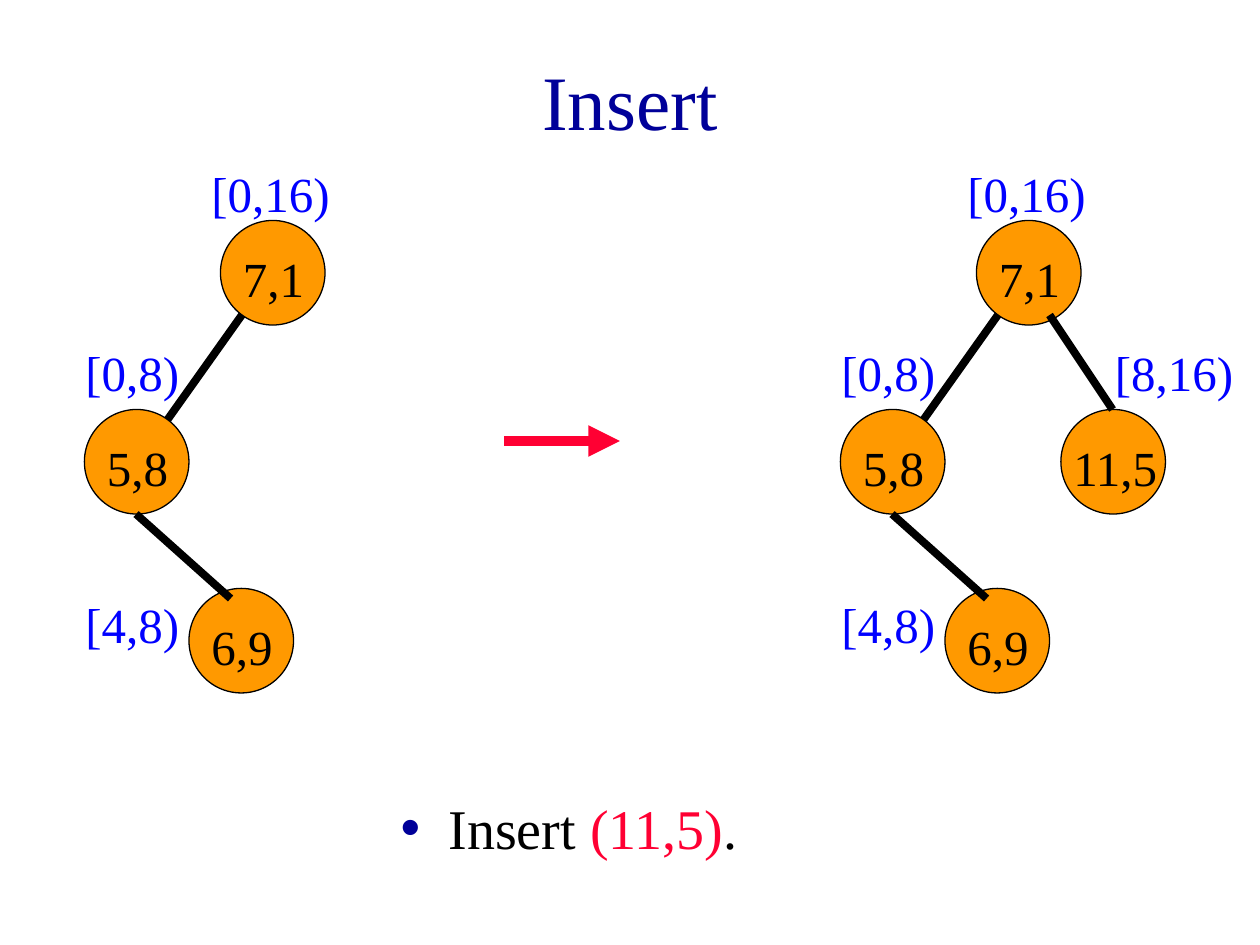
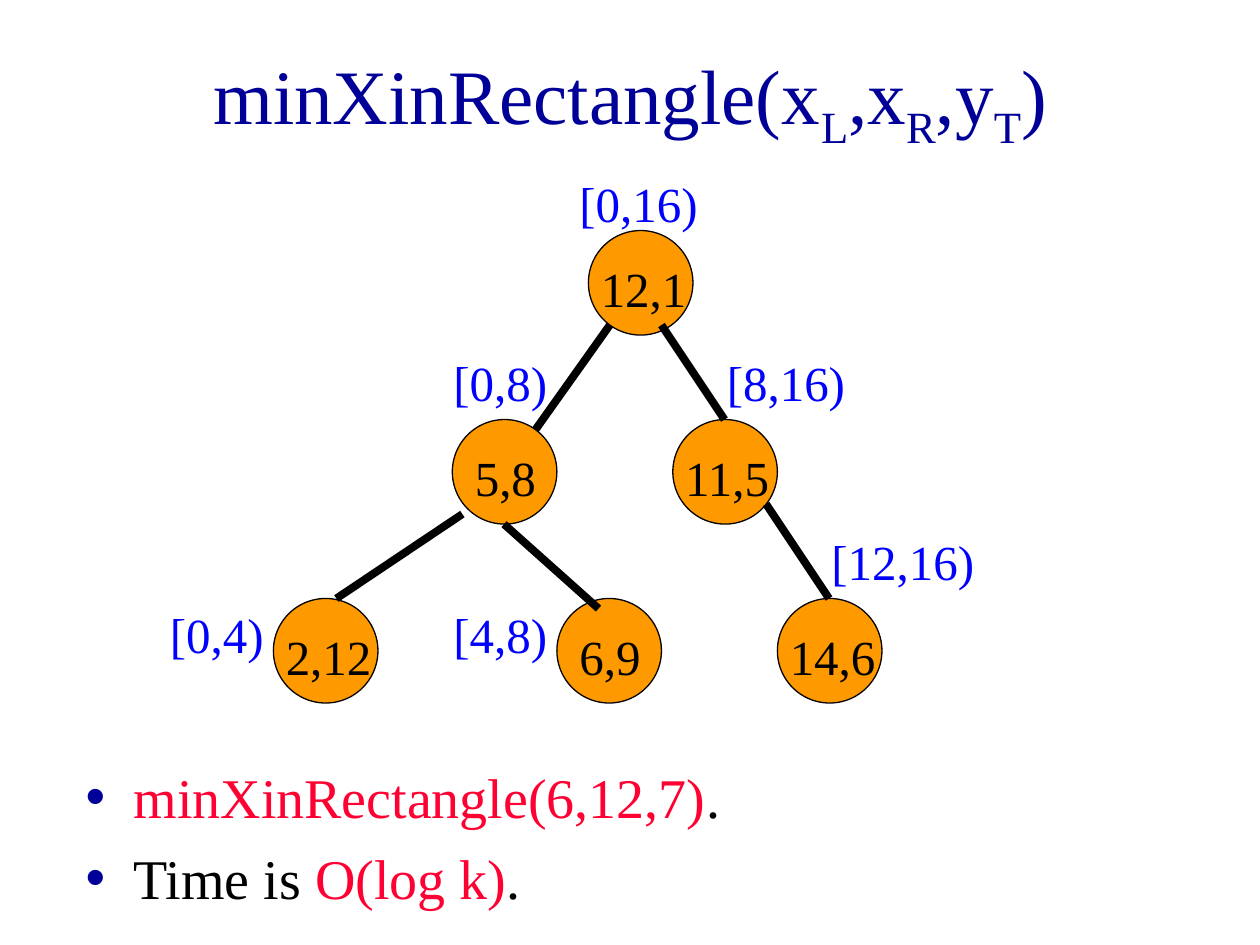
from dataclasses import dataclass
from typing import NamedTuple

from lxml.etree import SubElement
from pptx import Presentation
from pptx.dml.color import RGBColor
from pptx.enum.shapes import MSO_CONNECTOR, MSO_SHAPE
from pptx.enum.text import MSO_ANCHOR, MSO_AUTO_SIZE, PP_ALIGN
from pptx.oxml.ns import qn
from pptx.shapes.connector import Connector
from pptx.shapes.group import GroupShape
from pptx.slide import Slide
from pptx.text.text import TextFrame, _Paragraph
from pptx.util import Inches, Pt


@dataclass(frozen=True)
class Theme:
    font: str = "Times New Roman"
    navy: str = "000099"
    black: str = "000000"
    red: str = "FF0033"
    blue: str = "0000FF"
    orange: str = "FF9900"
    white: str = "FFFFFF"
    title_size: float = 44
    body_size: float = 32
    tree_size: float = 28
    outline: float = 0.75
    edge: float = 4.5
    arrow: float = 6


THEME = Theme()


class Point(NamedTuple):
    x: float
    y: float


class Box(NamedTuple):
    left: float
    top: float
    width: float
    height: float


class Span(NamedTuple):
    text: str
    color: str = THEME.black
    subscript: bool = False


class Edge(NamedTuple):
    start: Point
    end: Point


@dataclass(frozen=True)
class Node:
    """A tree node; every place is measured from the root circle's corner."""
    key: str
    corner: Point
    interval: str
    interval_corner: Point
    edge: Edge | None = None


# Shared places
TITLE_BOX = Box(0.75, 0.17, 8.5, 1.25)
CIRCLE = 0.83
TEXT_HEIGHT = 0.57

# Tree nodes
ROOT_CORNER, ROOT_INTERVAL = Point(0, 0), Point(-0.17, -0.5)
LEFT = Node("5,8", Point(-1.08, 1.5), "[0,8)", Point(-1.17, 0.92),
            Edge(Point(0.17, 0.75), Point(-0.42, 1.58)))
LEFT_RIGHT = Node("6,9", Point(-0.25, 2.92), "[4,8)", Point(-1.17, 2.92),
                  Edge(Point(-0.67, 2.33), Point(0.08, 3)))
RIGHT = Node("11,5", Point(0.67, 1.5), "[8,16)", Point(1, 0.92),
             Edge(Point(0.58, 0.75), Point(1.08, 1.5)))
LEFT_LEFT = Node("2,12", Point(-2.5, 2.92), "[0,4)", Point(-3.42, 2.92),
                 Edge(Point(-1, 2.25), Point(-2, 2.92)))
RIGHT_RIGHT = Node("14,6", Point(1.5, 2.92), "[12,16)", Point(1.83, 2.34),
                   Edge(Point(1.41, 2.17), Point(1.91, 2.92)))


def root(key: str) -> Node:
    return Node(key, ROOT_CORNER, "[0,16)", ROOT_INTERVAL)


def color(value: str) -> RGBColor:
    return RGBColor.from_string(value)


def inches(box: Box) -> list[int]:
    return [Inches(length) for length in box]


def add_spans(paragraph: _Paragraph, spans: list[Span], size: float) -> None:
    for span in spans:
        run = paragraph.add_run()
        run.text = span.text
        run.font.name = THEME.font
        run.font.size = Pt(size)
        run.font.color.rgb = color(span.color)
        if span.subscript:
            run._r.get_or_add_rPr().set("baseline", "-25000")


def place(holder, box: Box) -> TextFrame:
    holder.left, holder.top, holder.width, holder.height = inches(box)
    frame = holder.text_frame
    frame.word_wrap = True
    frame.auto_size = MSO_AUTO_SIZE.NONE
    return frame


def fill_title(slide: Slide, spans: list[Span]) -> None:
    frame = place(slide.shapes.title, TITLE_BOX)
    frame.vertical_anchor = MSO_ANCHOR.MIDDLE
    heading = frame.paragraphs[0]
    heading.alignment = PP_ALIGN.CENTER
    add_spans(heading, spans, THEME.title_size)


def fill_bullets(slide: Slide, box: Box, items: list[list[Span]]) -> None:
    frame = place(slide.placeholders[1], box)
    for number, spans in enumerate(items):
        item = frame.add_paragraph() if number else frame.paragraphs[0]
        item.space_before = Pt(8)
        properties = item._p.get_or_add_pPr()
        properties.set("marL", str(Inches(0.38)))
        properties.set("indent", str(Inches(-0.38)))
        bullet_color = SubElement(properties, qn("a:buClr"))
        SubElement(bullet_color, qn("a:srgbClr"), val=THEME.navy)
        SubElement(properties, qn("a:buChar"), char="•")
        add_spans(item, spans, THEME.body_size)


def add_line(parent, edge: Edge, line_color: str, width: float) -> Connector:
    start, end = edge
    line = parent.add_connector(MSO_CONNECTOR.STRAIGHT, Inches(start.x), Inches(start.y),
                                Inches(end.x), Inches(end.y))
    line.line.color.rgb = color(line_color)
    line.line.width = Pt(width)
    SubElement(line._element.spPr, qn("a:effectLst"))
    return line


def add_caption(tree: GroupShape, corner: Point, width: float, span: Span) -> None:
    caption = tree.shapes.add_textbox(*inches(Box(*corner, width, TEXT_HEIGHT)))
    frame = caption.text_frame
    frame.word_wrap = True
    paragraph = frame.paragraphs[0]
    paragraph.space_before = Pt(17.5)
    add_spans(paragraph, [span], THEME.tree_size)


def add_node(tree: GroupShape, origin: Point, node: Node) -> None:
    def shifted(point: Point) -> Point:
        return Point(origin.x + point.x, origin.y + point.y)

    corner = shifted(node.corner)
    circle = tree.shapes.add_shape(MSO_SHAPE.OVAL, *inches(Box(*corner, CIRCLE, CIRCLE)))
    circle.shadow.inherit = False
    circle.fill.solid()
    circle.fill.fore_color.rgb = color(THEME.orange)
    circle.line.color.rgb = color(THEME.black)
    circle.line.width = Pt(THEME.outline)

    # Three-character keys start a little further in
    indent, width = (0.08, 0.75) if len(node.key) == 3 else (0, 1)
    add_caption(tree, Point(corner.x + indent, corner.y + 0.17), width, Span(node.key))
    if node.edge:
        add_line(tree.shapes, Edge(*map(shifted, node.edge)), THEME.black, THEME.edge)
    interval_width = 1.58 if len(node.interval) > 6 else 1.25
    add_caption(tree, shifted(node.interval_corner), interval_width,
                Span(node.interval, THEME.blue))


def add_tree(slide: Slide, origin: Point, nodes: list[Node]) -> None:
    tree = slide.shapes.add_group_shape()
    for node in nodes:
        add_node(tree, origin, node)


def build_insert(slide: Slide) -> None:
    fill_title(slide, [Span("Insert", THEME.navy)])
    fill_bullets(slide, Box(3.08, 6.25, 3.25, 0.67),
                 [[Span("Insert "), Span("(11,5)", THEME.red), Span(".")]])
    body = slide.placeholders[1]
    body.fill.solid()
    body.fill.fore_color.rgb = color(THEME.white)

    # Tree before and after the insertion
    before = [root("7,1"), LEFT, LEFT_RIGHT]
    add_tree(slide, Point(1.75, 1.75), before)
    step = add_line(slide.shapes, Edge(Point(4, 3.5), Point(4.92, 3.5)),
                    THEME.red, THEME.arrow)
    SubElement(step.line._get_or_add_ln(), qn("a:tailEnd"), type="triangle")
    add_tree(slide, Point(7.75, 1.75), before + [RIGHT])


def build_min_x(slide: Slide) -> None:
    heading = []
    for name, index in (("minXinRectangle(x", "L"), (",x", "R"), (",y", "T")):
        heading += [Span(name, THEME.navy), Span(index, THEME.navy, subscript=True)]
    fill_title(slide, heading + [Span(")", THEME.navy)])
    fill_bullets(slide, Box(0.58, 6, 8.5, 1.5), [
        [Span("minXinRectangle(6,12,7)", THEME.red), Span(".")],
        [Span("Time is "), Span("O(log k)", THEME.red), Span(".")],
    ])
    add_tree(slide, Point(4.67, 1.83),
             [root("12,1"), LEFT, LEFT_RIGHT, RIGHT, LEFT_LEFT, RIGHT_RIGHT])


def main() -> None:
    deck = Presentation()
    deck.slide_width, deck.slide_height = Inches(10), Inches(7.5)
    background = deck.slide_master.background.fill
    background.solid()
    background.fore_color.rgb = color(THEME.white)
    for build in (build_insert, build_min_x):
        build(deck.slides.add_slide(deck.slide_layouts[1]))
    deck.save("out.pptx")


if __name__ == "__main__":
    main()
